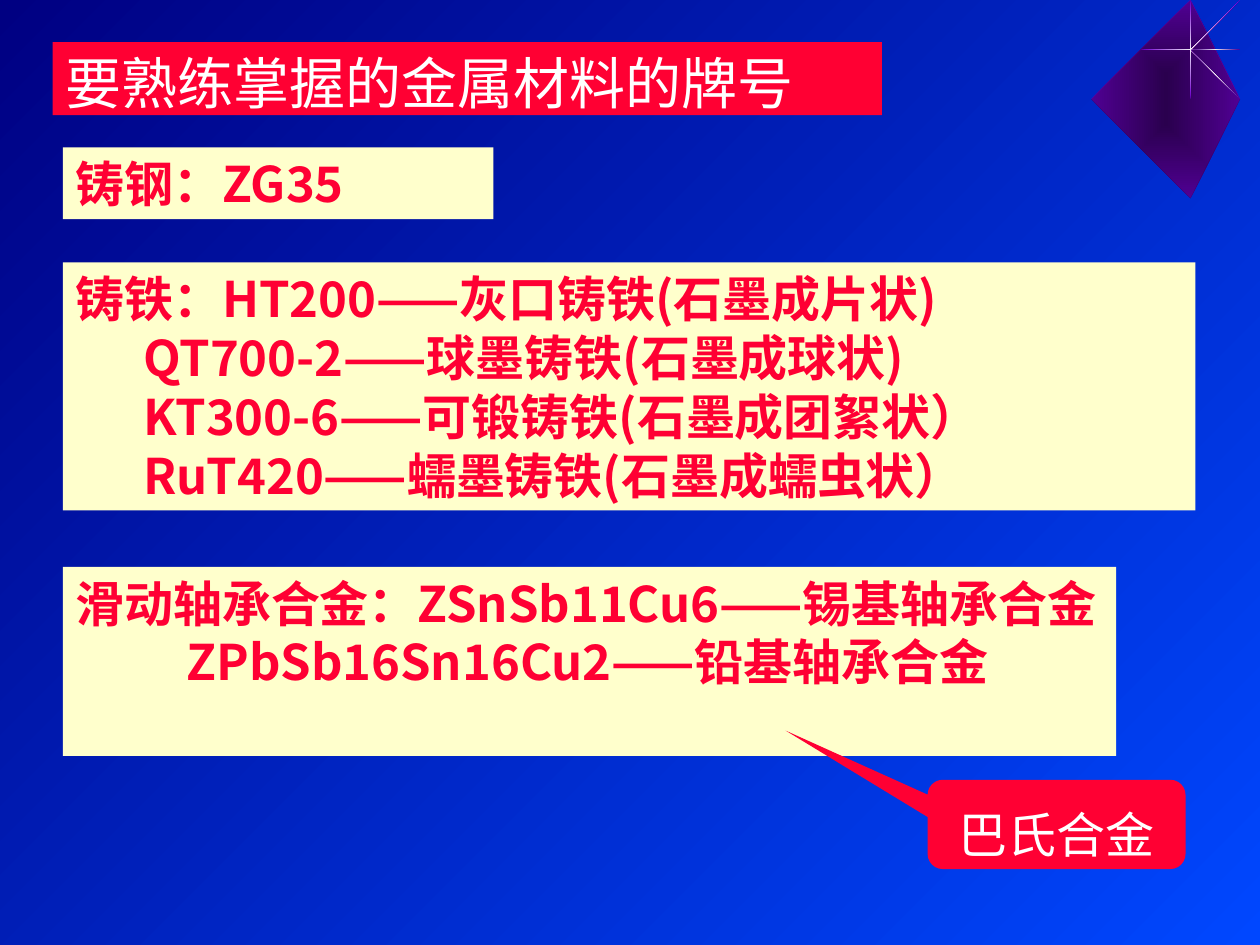
"""Build a slide on the designations of metal materials worth knowing by heart."""
from lxml import etree
from pptx import Presentation
from pptx.dml.color import RGBColor
from pptx.enum.shapes import MSO_SHAPE
from pptx.enum.text import MSO_ANCHOR, MSO_AUTO_SIZE, PP_ALIGN
from pptx.oxml.ns import qn
from pptx.util import Cm, Pt

CALLOUT = MSO_SHAPE.ROUNDED_RECTANGULAR_CALLOUT
TOP = MSO_ANCHOR.TOP
FIXED = MSO_AUTO_SIZE.NONE
LEFT, CENTER = PP_ALIGN.LEFT, PP_ALIGN.CENTER
SERIF, SANS = "Times New Roman", "Noto Sans CJK SC"
COLORS = {
    "sky": "0047FF", "navy": "000082", "red": "FF0033", "cream": "FFFFCC",
    "white": "FFFFFF", "glint": "F9F9F9",
    "violet": "7500D7", "purple": "500093", "shade": "2A004E",
}
RGB = {name: RGBColor.from_string(value) for name, value in COLORS.items()}


def add_outline(slide, center, points, colors):
    """Draw a closed outline around a center, in one colour or shaded outwards."""
    spots = [(center[0] + x, center[1] + y) for x, y in points]
    builder = slide.shapes.build_freeform(*spots[0], scale=Cm(1))
    builder.add_line_segments(spots[1:], close=True)
    shape = builder.convert_to_shape()
    shape.shadow.inherit = False
    shape.line.fill.background()
    if len(colors) == 1:
        shape.fill.solid()
        shape.fill.fore_color.rgb = RGB[colors[0]]
        return
    shape.fill.gradient()
    for stop, color in zip(shape.fill.gradient_stops, colors):
        stop.color.rgb = RGB[color]
    gradient = shape._element.spPr.find(qn("a:gradFill"))
    gradient.remove(gradient.find(qn("a:lin")))
    shading = etree.SubElement(gradient, qn("a:path"), path="rect")
    sides = dict.fromkeys("ltrb", "50000")
    etree.SubElement(shading, qn("a:fillToRect"), **sides)


def write_text(shape, lines, fill, color, font, size, bold=False, align=LEFT):
    """Fill a shape and write its lines, each given as text and left indent."""
    shape.fill.solid()
    shape.fill.fore_color.rgb = RGB[fill]
    frame = shape.text_frame
    frame.word_wrap = True
    frame.auto_size = FIXED
    frame.vertical_anchor = TOP
    for index, (text, indent) in enumerate(lines):
        para = frame.add_paragraph() if index else frame.paragraphs[0]
        para.alignment = align
        if indent:
            para._p.get_or_add_pPr().set("marL", str(Cm(indent)))
        span = para.add_run()
        span.text = text
        span.font.name = font
        span.font.size = Pt(size)
        span.font.bold = bold
        span.font.color.rgb = RGB[color]
        etree.SubElement(span._r.rPr, qn("a:ea"), typeface=SANS)


deck = Presentation()
deck.slide_width, deck.slide_height = Cm(25.4), Cm(19.05)
page = deck.slides.add_slide(deck.slide_layouts[5])

backdrop = page.background.fill
backdrop.gradient()
backdrop.gradient_angle = 135
for stop, color in zip(backdrop.gradient_stops, ("sky", "navy")):
    stop.color.rgb = RGB[color]

gem = (23.52, 2.22)
outer_x, outer_y, inner_x, inner_y = 1.63, 2.22, 1.32, 1.79
core = [(0, -inner_y), (-inner_x, 0), (0, inner_y), (inner_x, 0)]
add_outline(page, gem, core, ("shade", "purple"))
for down, color in ((-1, "violet"), (1, "shade")):
    for side in (1, -1):
        facet = [(0, down * inner_y), (0, down * outer_y),
                 (side * outer_x, 0), (side * inner_x, 0)]
        add_outline(page, gem, facet, (color,))

sparkle = (24.23, 1.22)
stars = [
    ([(0, -0.2), (0.57, -1.06), (0.18, -0.1), (1.16, 0)], ("white", "purple")),
    ([(0, -0.2), (0.42, -0.77), (0.18, -0.1), (0.84, 0)], ("white", "violet")),
    ([(0, -0.74), (0.08, -0.1), (0.6, -0.37), (0.13, 0)], ("white", "purple")),
    ([(0, -0.18), (0.03, -0.05), (0.14, -0.09), (0.05, 0)], ("glint",)),
]
for quarter, colors in stars:
    right = quarter + [(x, -y) for x, y in quarter[-2::-1]]
    left = [(-x, y) for x, y in right[-2:0:-1]]
    add_outline(page, sparkle, right + left, colors)

title = page.shapes.title
title.left, title.top, title.width, title.height = Cm(1.06), Cm(0.85), Cm(16.72), Cm(1.47)
write_text(title, [("要熟练掌握的金属材料的牌号", 0)], "red", "white", SERIF, 32)

panels = [
    (2.97, 8.68, 1.45, [("铸钢：ZG35", 0)]),
    (5.29, 22.83, 5, [
        ("铸铁：HT200——灰口铸铁(石墨成片状)", 0),
        ("QT700-2——球墨铸铁(石墨成球状)", 1.37),
        ("KT300-6——可锻铸铁(石墨成团絮状）", 1.37),
        ("RuT420——蠕墨铸铁(石墨成蠕虫状）", 1.37),
    ]),
    (11.43, 21.23, 3.81, [
        ("滑动轴承合金：ZSnSb11Cu6——锡基轴承合金", 0),
        ("ZPbSb16Sn16Cu2——铅基轴承合金", 2.24),
    ]),
]
for top, width, height, lines in panels:
    box = page.shapes.add_textbox(Cm(1.27), Cm(top), Cm(width), Cm(height))
    write_text(box, lines, "cream", "red", SANS, 28, bold=True)

callout = page.shapes.add_shape(CALLOUT, Cm(18.7), Cm(15.72), Cm(5.2), Cm(1.8))
callout.shadow.inherit = False
callout.line.fill.background()
for index, value in enumerate((-1.05, -1.05, 0.17)):
    callout.adjustments[index] = value
write_text(callout, [("巴氏合金", 0)], "red", "white", SERIF, 28, align=CENTER)
callout.text_frame.margin_top = 0
callout.text_frame.paragraphs[0].line_spacing = 1.35

deck.save("out.pptx")
